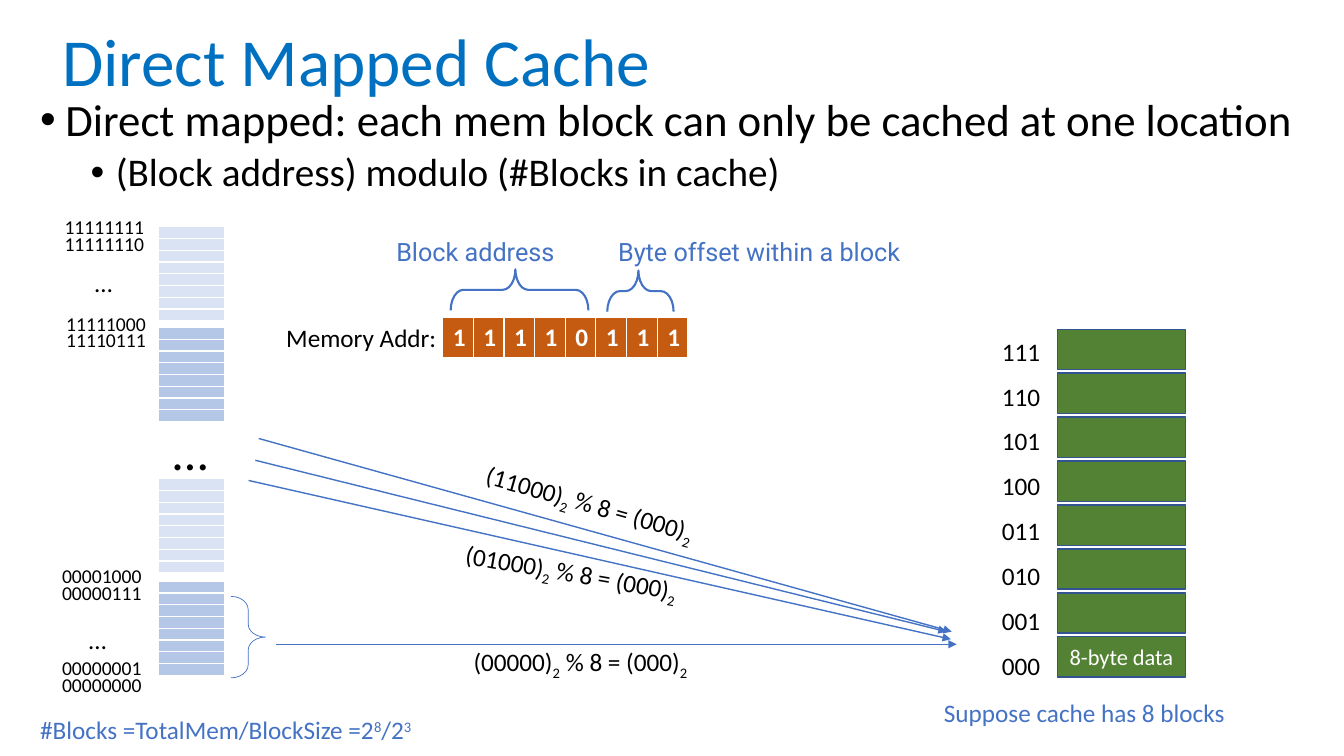
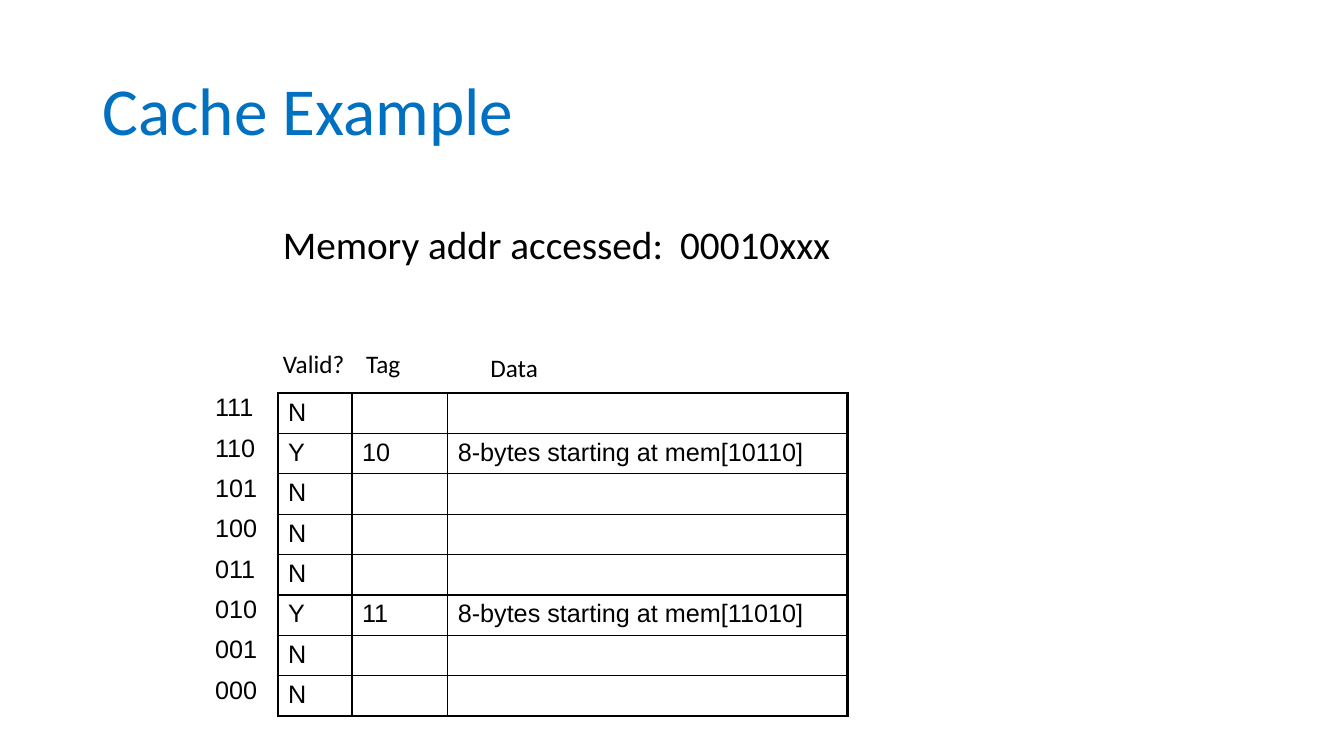
import lxml.etree
import pptx
import pptx.dml.color
import pptx.enum.shapes
import pptx.enum.text
import pptx.oxml
import pptx.oxml.ns
import pptx.util

RGB = pptx.dml.color.RGBColor
TITLE_BLUE = RGB(0x00, 0x70, 0xC0)
LINE_BLUE = RGB(0x44, 0x72, 0xC4)
PALE_BLUE = RGB(0xDA, 0xE3, 0xF3)
MID_BLUE = RGB(0xB4, 0xC7, 0xE7)
ORANGE = RGB(0xC5, 0x5A, 0x11)
GREEN = RGB(0x54, 0x82, 0x35)
BOX_EDGE = RGB(0x32, 0x54, 0x91)
BLACK = RGB(0, 0, 0)
WHITE = RGB(0xFF, 0xFF, 0xFF)

SLIDE_W, SLIDE_H = pptx.util.Inches(13.33), pptx.util.Inches(7.5)
GRID_COLS, GRID_ROWS = 160, 90
TEXT_H = 4.8
SETS = [f"{n:03b}" for n in reversed(range(8))]
SHAPE = pptx.enum.shapes.MSO_SHAPE


def col(n):
    return round(SLIDE_W * n / GRID_COLS)


def row(n):
    return round(SLIDE_H * n / GRID_ROWS)


def box(x, y, w, h):
    return col(x), row(y), col(w), row(h)


def sub(parent, tag, **attrs):
    return lxml.etree.SubElement(parent, pptx.oxml.ns.qn(tag), attrs)


def style(font, size, color=BLACK, name="Calibri", bold=False):
    font.size = pptx.util.Pt(size)
    font.color.rgb = color
    font.name = name
    font.bold = bold


def add_titled_slide(prs, title, x, y):
    s = prs.slides.add_slide(prs.slide_layouts[5])
    sp = s.shapes.title
    sp.left, sp.top, sp.width, sp.height = box(x, y, 138, 15.5)
    tf = sp.text_frame
    tf.text = title
    tf.vertical_anchor = pptx.enum.text.MSO_ANCHOR.MIDDLE
    p = tf.paragraphs[0]
    p.alignment = pptx.enum.text.PP_ALIGN.LEFT
    p.line_spacing = 0.9
    style(p.runs[0].font, 48, TITLE_BLUE)
    return s


def add_label(s, text, x, y, w, h=TEXT_H, size=18, color=BLACK, name="Calibri", rot=0):
    """Add one unwrapped line; text is a string or a list of (string, baseline %)."""
    sp = s.shapes.add_textbox(*box(x, y, w, h))
    sp.rotation = rot
    tf = sp.text_frame
    tf.word_wrap = False
    tf.auto_size = pptx.enum.text.MSO_AUTO_SIZE.SHAPE_TO_FIT_TEXT
    p = tf.paragraphs[0]
    for part, baseline in [(text, 0)] if isinstance(text, str) else text:
        r = p.add_run()
        r.text = part
        style(r.font, size, color, name)
        if baseline:
            r._r.get_or_add_rPr().set("baseline", str(baseline * 1000))
    return p


def add_modulo(s, block, x, y, w, rot=0):
    parts = [(f"({block})", 0), ("2", -25), (" % 8 = (000)", 0), ("2", -25)]
    add_label(s, parts, x, y, w, rot=rot)


def add_bullets(s, items, x, y, w, h):
    """Add a bulleted list of (text, size, left indent in inches, points before)."""
    tf = s.shapes.add_textbox(*box(x, y, w, h)).text_frame
    tf.word_wrap = True
    for i, (text, size, indent, before) in enumerate(items):
        p = tf.add_paragraph() if i else tf.paragraphs[0]
        p.text = text
        pPr = p._p.get_or_add_pPr()
        pPr.set("marL", str(pptx.util.Inches(indent)))
        pPr.set("indent", str(pptx.util.Inches(-0.25)))
        sub(pPr, "a:buFont", typeface="Arial")
        sub(pPr, "a:buChar", char="•")
        p.line_spacing = 0.9
        p.space_before = pptx.util.Pt(before)
        style(p.runs[0].font, size)


def set_borders(cell, color, widths):
    """Draw the left, right, top and bottom borders with widths in points."""
    tcPr = cell._tc.get_or_add_tcPr()
    for side, width in zip("LRTB", widths):
        ln = sub(tcPr, f"a:ln{side}", w=str(pptx.util.Pt(width)))
        sub(sub(ln, "a:solidFill"), "a:srgbClr", val=str(color))


def add_grid(s, rows, x, y, widths, row_h, fill=None, border=None, edges=(1, 1, 1, 1), **font):
    """Add a table; edges are the outer border widths, inner borders are 1 pt."""
    n_rows, n_cols = len(rows), len(widths)
    frame = s.shapes.add_table(n_rows, n_cols, *box(x, y, sum(widths), row_h * n_rows))
    tbl = frame.table
    tbl.first_row = tbl.horz_banding = False
    for j, w in enumerate(widths):
        tbl.columns[j].width = col(w)
    for i, values in enumerate(rows):
        tbl.rows[i].height = row(row_h)
        for j, value in enumerate(values):
            cell = tbl.cell(i, j)
            if border is not None:
                outer = (j == 0, j == n_cols - 1, i == 0, i == n_rows - 1)
                set_borders(cell, border, [e if o else 1 for e, o in zip(edges, outer)])
            if fill is None:
                cell.fill.background()
            else:
                cell.fill.solid()
                cell.fill.fore_color.rgb = fill
            p = cell.text_frame.paragraphs[0]
            if value:
                p.text = value
                style(p.runs[0].font, 18, **font)
            else:
                cell.margin_top = cell.margin_bottom = 0
                p._p.get_or_add_endParaRPr().set("sz", "400")


def add_outlined(s, kind, x, y, w, h, color, width):
    sp = s.shapes.add_shape(kind, *box(x, y, w, h))
    sp.shadow.inherit = False
    sp.fill.background()
    sp.line.color.rgb = color
    sp.line.width = pptx.util.Pt(width)
    return sp


def add_brace(s, x, y, w, h, adjustments, width, rot=0):
    sp = add_outlined(s, SHAPE.RIGHT_BRACE, x, y, w, h, LINE_BLUE, width)
    sp.rotation = rot
    sp.adjustments[0], sp.adjustments[1] = adjustments


def add_arrow(s, x1, y1, x2, y2):
    kind = pptx.enum.shapes.MSO_CONNECTOR.STRAIGHT
    cxn = s.shapes.add_connector(kind, col(x1), row(y1), col(x2), row(y2))
    cxn.line.color.rgb = LINE_BLUE
    cxn.line.width = pptx.util.Pt(1)
    sub(cxn.line._get_or_add_ln(), "a:tailEnd", type="triangle")
    sub(cxn._element.spPr, "a:effectLst")


def draw_memory(s):
    for y, fill in [(27, PALE_BLUE), (39, MID_BLUE), (57, PALE_BLUE), (69.2, MID_BLUE)]:
        add_grid(s, [[""]] * 8, 18.8, y, [7.9], 1.4, fill, WHITE)
    add_label(s, "…", 19.4, 49.4, 6.6, 8.5, size=36)
    for x, y, pair in [
        (6.5, 25, ("11111111", "11111110")),
        (6.7, 36.5, ("11111000", "11110111")),
        (6.2, 66.6, ("00001000", "00000111")),
        (6.2, 77.5, ("00000001", "00000000")),
    ]:
        for i, address in enumerate(pair):
            add_label(s, address, x, y + 2 * i, 12, 4.1, size=14)
    for x, y in [(10.1, 31.2), (9.4, 73.7)]:
        add_label(s, "…", x, y, 4.6)
    add_brace(s, 27.5, 71, 4.1, 9.7, (0.38, 0.5), 0.5)
    blocks = [("#Blocks =TotalMem/BlockSize =2", 0), ("8", 30), ("/2", 0), ("3", 30)]
    add_label(s, blocks, 3.6, 84.5, 47.3, color=LINE_BLUE)


def draw_address(s):
    add_label(s, "Memory Addr:", 32.9, 37.8, 20.5)
    add_grid(s, ["11110111"], 52.7, 37.8, [3.65] * 8, 4.9, ORANGE, WHITE,
             (1, 1, 1, 3), color=WHITE, bold=True)
    for x, y, length in [(59.4, 26.3, 16.4), (73.8, 30.7, 7.9)]:
        add_brace(s, x, y, 4.9, length, (0.31, 0.47), 1.5, rot=270)
    for text, x, w in [("Block address", 46, 23.2), ("Byte offset within a block", 72.4, 41.6)]:
        add_label(s, text, x, 27.5, w, color=LINE_BLUE, name="Roboto")


def draw_mapping(s):
    for ends in [
        (32.9, 76.7, 113.9, 76.7),
        (30.4, 54.8, 112.7, 75.2),
        (29.6, 57.2, 113.2, 76.1),
        (30.8, 52.2, 113.3, 75.2),
    ]:
        add_arrow(s, *ends)
    add_modulo(s, "00000", 55.2, 76.4, 28.9)
    add_modulo(s, "01000", 54.1, 65.8, 28.4, rot=10)
    add_modulo(s, "11000", 56.3, 57.6, 28.4, rot=15.8)


def draw_cache(s):
    for i, index in enumerate(SETS):
        sp = add_outlined(s, SHAPE.RECTANGLE, 125.9, 39.2 + 5.23 * i, 15.2, 4.8, BOX_EDGE, 1)
        sp.fill.solid()
        sp.fill.fore_color.rgb = GREEN
        add_label(s, index, 118.1, 39.4 + 5.35 * i, 7.1)
    tf = sp.text_frame
    tf.text = "8-byte data"
    tf.vertical_anchor = pptx.enum.text.MSO_ANCHOR.MIDDLE
    p = tf.paragraphs[0]
    p.alignment = pptx.enum.text.PP_ALIGN.CENTER
    style(p.runs[0].font, 16, WHITE)
    add_label(s, "Suppose cache has 8 blocks", 111.2, 82.4, 36.2, color=LINE_BLUE)


def build_direct_mapped(prs):
    s = add_titled_slide(prs, "Direct Mapped Cache", 6.2, 0)
    add_bullets(s, [
        ("Direct mapped: each mem block can only be cached at one location", 32, 0.25, 0),
        ("(Block address) modulo (#Blocks in cache)", 28, 0.75, 5),
    ], 3.6, 11, 156, 14.3)
    draw_memory(s)
    draw_address(s)
    draw_mapping(s)
    draw_cache(s)


def build_example(prs):
    s = add_titled_slide(prs, "Cache Example", 11, 5.75)
    p = add_label(s, "Memory addr accessed:\t00010xxx", 32.5, 25.6, 68.4, 6.8, size=28)
    tabs = sub(p._p.get_or_add_pPr(), "a:tabLst")
    sub(tabs, "a:tab", pos=str(pptx.util.Inches(3.94)), algn="l")
    for text, x, y, w in [
        ("Valid?", 32.5, 40.9, 9.8),
        ("Tag", 42.4, 40.9, 6.6),
        ("Data", 57.2, 41.3, 8.2),
    ]:
        add_label(s, text, x, y, w)
    cached = {"110": "10", "010": "11"}
    rows = []
    for index in SETS:
        tag = cached.get(index)
        rows.append(["Y", tag, f"8-bytes starting at mem[{tag}{index}]"] if tag else ["N", "", ""])
    add_grid(s, rows, 33.1, 46.8, [8.8, 11.4, 47.6], 4.8, border=BLACK,
             edges=(1, 2.25, 1.5, 2.25), name="Arial")
    add_grid(s, [[index] for index in SETS], 24.4, 46.3, [8.2], 4.8, name="Arial")


def main():
    prs = pptx.Presentation()
    prs.slide_width, prs.slide_height = SLIDE_W, SLIDE_H
    build_direct_mapped(prs)
    build_example(prs)
    prs.save("out.pptx")


if __name__ == "__main__":
    main()
